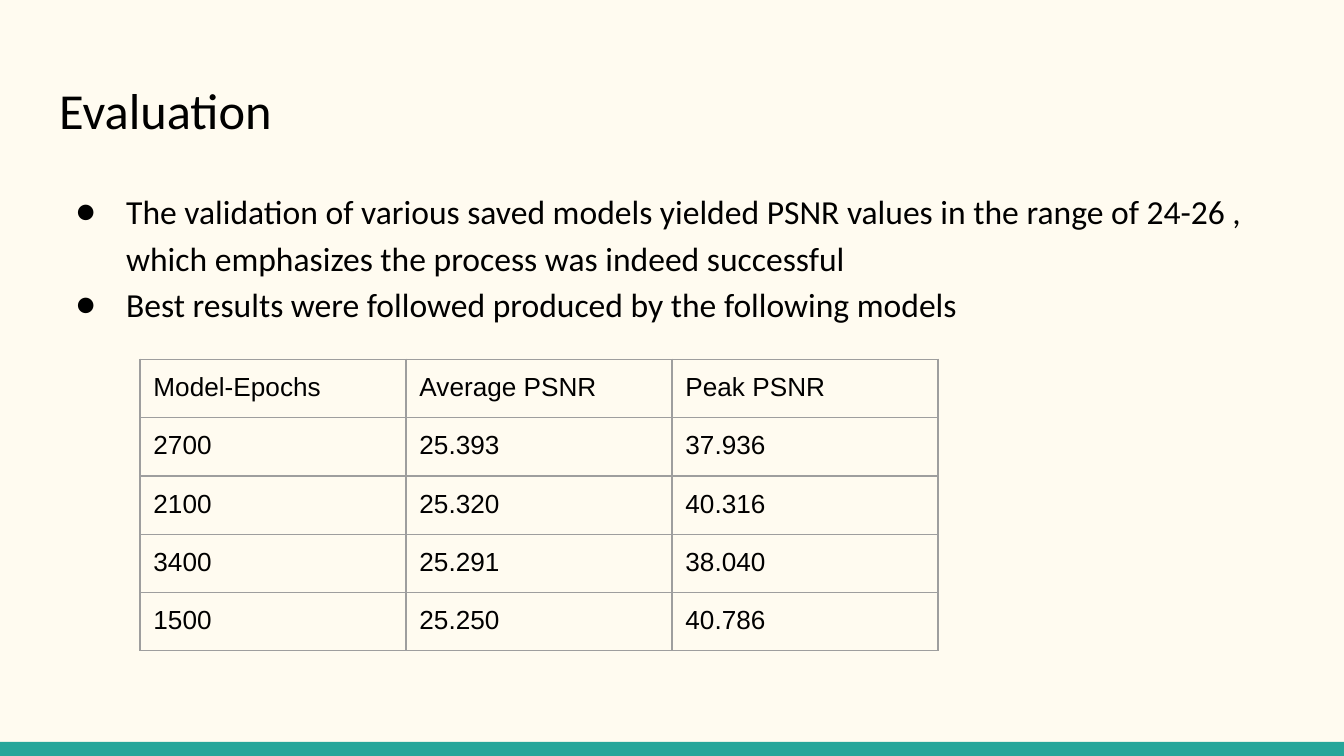
from lxml.etree import SubElement
from pptx import Presentation
from pptx.dml.color import RGBColor
from pptx.enum.shapes import MSO_SHAPE
from pptx.enum.text import MSO_ANCHOR, PP_ALIGN
from pptx.oxml.ns import qn
from pptx.util import Pt

COLORS = {
    "background": "FFFBF0",
    "bar": "26A69A",
    "text": "000000",
    "border": "9E9E9E",
}
WIDTH, HEIGHT = 720, 405
MARGIN_LEFT, CONTENT_WIDTH = 24.5, 671
INSET = 7.2

BULLETS = [
    "The validation of various saved models yielded PSNR values in the range "
    "of 24-26 , which emphasizes the process was indeed successful",
    "Best results were followed produced by the following models",
]
RESULTS = [
    ["Model-Epochs", "Average PSNR", "Peak PSNR"],
    ["2700", "25.393", "37.936"],
    ["2100", "25.320", "40.316"],
    ["3400", "25.291", "38.040"],
    ["1500", "25.250", "40.786"],
]


def color(name):
    return RGBColor.from_string(COLORS[name])


def set_insets(target):
    """Give a text frame or a table cell the same inset on all sides."""
    for side in ("left", "top", "right", "bottom"):
        setattr(target, f"margin_{side}", Pt(INSET))


def write_text(text_frame, *lines, font="Calibri", size=18, spacing=1.0, bullet=None):
    for index, line in enumerate(lines):
        paragraph = text_frame.paragraphs[0] if index == 0 else text_frame.add_paragraph()
        paragraph.alignment = PP_ALIGN.LEFT
        paragraph.line_spacing = spacing
        paragraph.space_before = paragraph.space_after = Pt(0)
        run = paragraph.add_run()
        run.text = line
        run.font.name = font
        run.font.size = Pt(size)
        run.font.color.rgb = color("text")
        if bullet:
            add_bullet(paragraph, bullet)


def add_bullet(paragraph, character, indent=36, hanging=27):
    properties = paragraph._p.get_or_add_pPr()
    properties.set("marL", str(Pt(indent)))
    properties.set("indent", str(-Pt(hanging)))
    bullet_color = SubElement(properties, qn("a:buClr"))
    SubElement(bullet_color, qn("a:srgbClr"), val=COLORS["text"])
    SubElement(properties, qn("a:buFont"), typeface="Calibri")
    SubElement(properties, qn("a:buChar"), char=character)


def add_bar(slide, top, height):
    bar = slide.shapes.add_shape(MSO_SHAPE.RECTANGLE, 0, Pt(top), Pt(WIDTH), Pt(height))
    bar.shadow.inherit = False
    bar.fill.solid()
    bar.fill.fore_color.rgb = color("bar")
    bar.line.fill.background()


def format_title(title, text):
    title.left, title.top = Pt(MARGIN_LEFT), Pt(35)
    title.width, title.height = Pt(CONTENT_WIDTH), Pt(48)
    text_frame = title.text_frame
    set_insets(text_frame)
    text_frame.vertical_anchor = MSO_ANCHOR.TOP
    write_text(text_frame, text, size=27)


def add_bullet_list(slide, lines):
    box = slide.shapes.add_textbox(Pt(MARGIN_LEFT), Pt(92), Pt(CONTENT_WIDTH), Pt(268))
    box.text_frame.word_wrap = True
    set_insets(box.text_frame)
    write_text(box.text_frame, *lines, spacing=1.15, bullet="●")


def set_borders(cell, width=0.75):
    properties = cell._tc.get_or_add_tcPr()
    for index, edge in enumerate(("lnL", "lnR", "lnT", "lnB")):
        line = properties.makeelement(qn(f"a:{edge}"), {"w": str(Pt(width))})
        fill = SubElement(line, qn("a:solidFill"))
        SubElement(fill, qn("a:srgbClr"), val=COLORS["border"])
        properties.insert(index, line)


def add_results_table(slide, rows, left, top, column_width, row_height):
    row_count, column_count = len(rows), len(rows[0])
    table = slide.shapes.add_table(
        row_count, column_count, Pt(left), Pt(top),
        Pt(column_width * column_count), Pt(row_height * row_count),
    ).table
    table.first_row = table.horz_banding = False
    for row, values in enumerate(rows):
        for column, value in enumerate(values):
            cell = table.cell(row, column)
            cell.fill.background()
            set_insets(cell)
            set_borders(cell)
            write_text(cell.text_frame, value, font="Arial", size=14)


def main():
    presentation = Presentation()
    presentation.slide_width, presentation.slide_height = Pt(WIDTH), Pt(HEIGHT)
    slide = presentation.slides.add_slide(presentation.slide_layouts[5])
    slide.background.fill.solid()
    slide.background.fill.fore_color.rgb = color("background")

    add_bar(slide, top=397.5, height=7.5)
    format_title(slide.shapes.title, "Evaluation")
    add_bullet_list(slide, BULLETS)
    add_results_table(slide, RESULTS, left=75, top=192.5, column_width=142.5, row_height=30)
    presentation.save("out.pptx")


if __name__ == "__main__":
    main()
